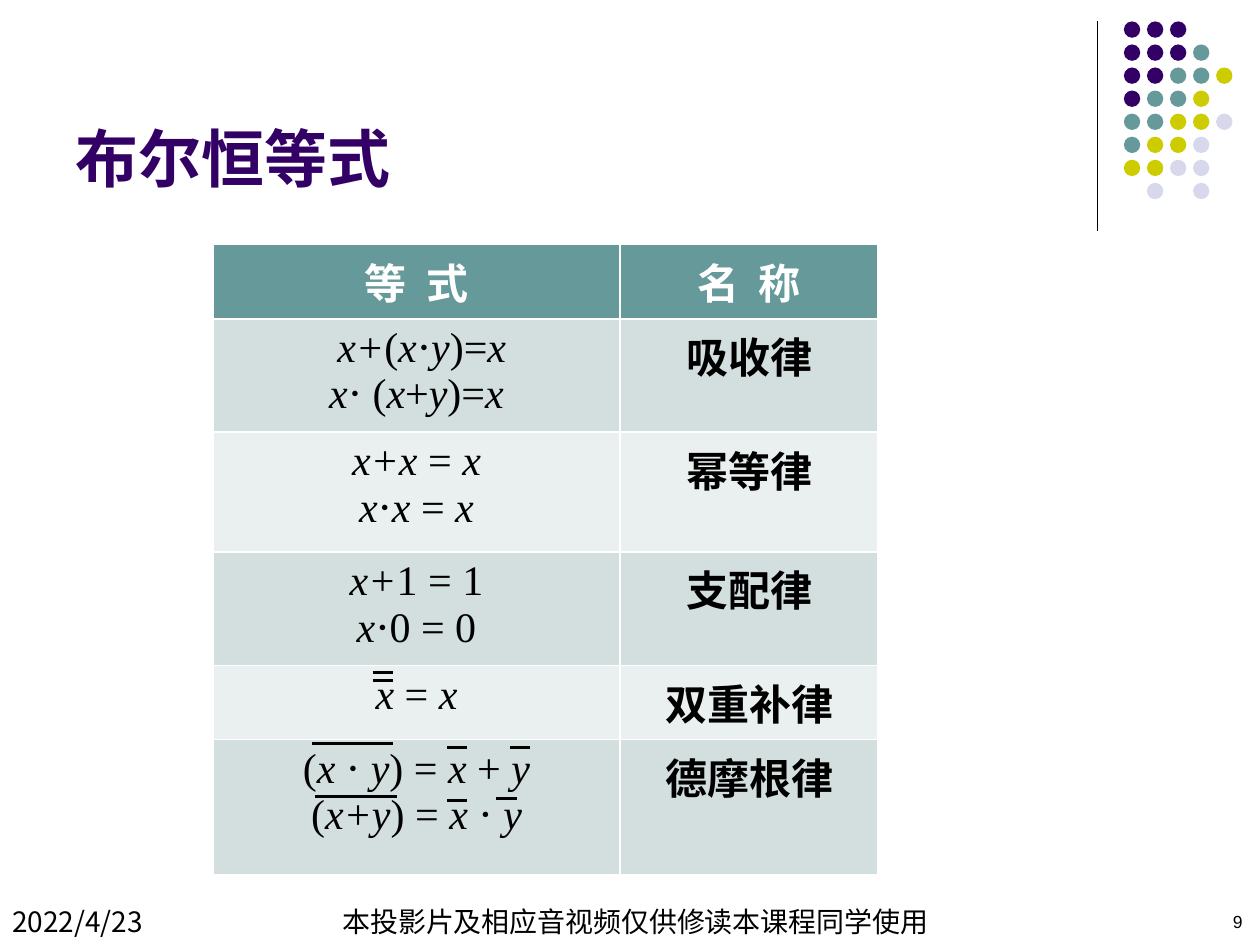
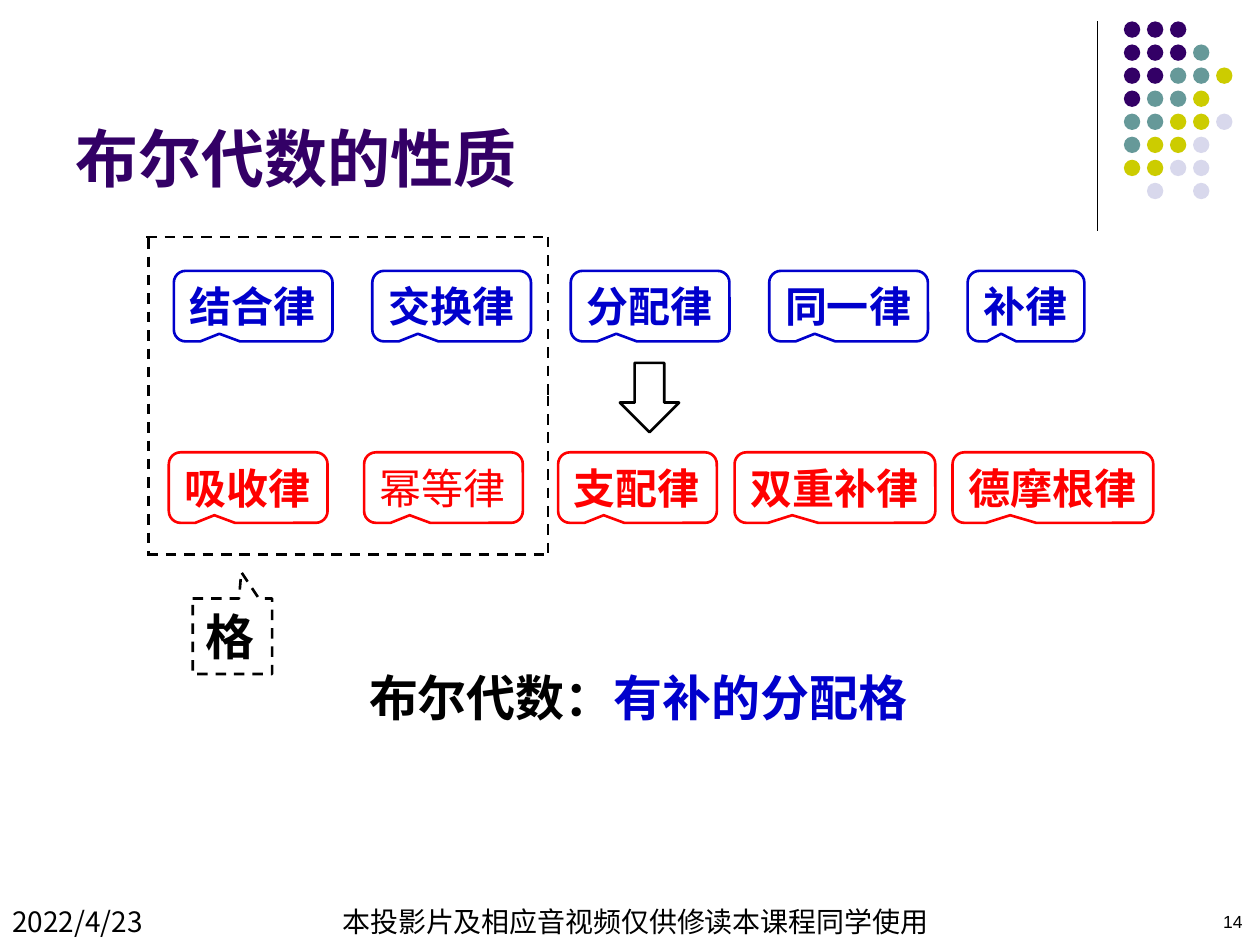
from dataclasses import dataclass
from typing import NamedTuple

import lxml.etree
import pptx
import pptx.dml.color
import pptx.enum.dml
import pptx.enum.shapes
import pptx.enum.text
import pptx.oxml.ns
import pptx.util

Inches = pptx.util.Inches
Pt = pptx.util.Pt
Shapes = pptx.enum.shapes.MSO_SHAPE
Align = pptx.enum.text.PP_ALIGN
Anchor = pptx.enum.text.MSO_ANCHOR
qn = pptx.oxml.ns.qn


@dataclass(frozen=True)
class Theme:
    purple: str = "330066"
    teal: str = "669999"
    yellow: str = "CCCC00"
    lilac: str = "D8D8EC"
    black: str = "000000"
    white: str = "FFFFFF"
    blue: str = "0000CC"
    red: str = "FF0000"
    band_dark: str = "D3DEDE"
    band_light: str = "EAEFEF"
    sans: str = "Arial"
    serif: str = "Times New Roman"
    chinese: str = "Noto Sans CJK SC"
    title_size: int = 36
    statement_size: int = 28
    body_size: int = 24
    footer_size: int = 16
    number_size: int = 10


THEME = Theme()


class TextStyle(NamedTuple):
    size: int
    color: str
    face: str
    bold: bool = False


class Area(NamedTuple):
    left: float
    top: float
    width: float
    height: float


class Stroke(NamedTuple):
    x1: float
    y1: float
    x2: float
    y2: float


class Law(NamedTuple):
    formulas: tuple[str, ...]
    name: str
    height: float


class Label(NamedTuple):
    text: str
    left: float
    bold: bool = True


DOT_COLORS = {"P": THEME.purple, "T": THEME.teal, "Y": THEME.yellow, "L": THEME.lilac}
DOT_ROWS = ("PPP", "PPPT", "PPTTY", "PTTY", "TTYYL", "TYYL", "YYLL", ".L.L")
DOT_PITCH = 0.183

LAWS = (
    Law((" *x+*(*x*⋅*y*)=*x*", "*x*⋅ (*x*+*y*)=*x*"), "吸收律", 0.83),
    Law(("*x+x *=* x*", "*x*⋅*x *=* x*"), "幂等律", 0.95),
    Law(("*x+*1 = 1", "*x*⋅0 = 0"), "支配律", 0.9),
    Law(("*x *=* x*",), "双重补律", 0.59),
    Law(("(*x *⋅ *y*) = *x *+ *y*", "(*x+y*) = *x *⋅ *y*"), "德摩根律", 1.07),
)
HEADER_HEIGHT = 0.59

OVERBARS = (
    Area(2.96, 5.34, 0.16, 0), Area(2.96, 5.4, 0.16, 0),
    Area(3.55, 5.93, 0.16, 0), Area(4.05, 5.93, 0.16, 0),
    Area(3.94, 6.34, 0.16, 0), Area(3.55, 6.35, 0.16, 0),
    Area(2.5, 6.32, 0.65, 0), Area(2.48, 5.9, 0.64, 0),
)

AXIOMS = tuple(
    Label(text, 1.38 + 1.575 * index)
    for index, text in enumerate(("结合律", "交换律", "分配律", "同一律", "补律"))
)
DERIVED_LAWS = (
    Label("吸收律", 1.34),
    Label("幂等律", 2.89, False),
    Label("支配律", 4.43),
    Label("双重补律", 5.83),
    Label("德摩根律", 7.56),
)
LATTICE_FRAME = (
    Stroke(1.18, 1.89, 1.18, 4.41),
    Stroke(1.16, 1.88, 4.35, 1.88),
    Stroke(4.35, 3.14, 4.35, 4.4),
    Stroke(4.35, 1.88, 4.35, 3.14),
    Stroke(1.17, 4.4, 4.36, 4.4),
)


def rgb(color: str) -> pptx.dml.color.RGBColor:
    return pptx.dml.color.RGBColor.from_string(color)


def style_paragraph(para, style: TextStyle, align=Align.LEFT) -> None:
    para.alignment = align
    para.font.size = Pt(style.size)
    para.font.bold = style.bold
    para.font.name = style.face
    para.font.color.rgb = rgb(style.color)
    defaults = para._p.get_or_add_pPr().find(qn("a:defRPr"))
    lxml.etree.SubElement(defaults, qn("a:ea"), typeface=THEME.chinese)


def add_text(page, area: Area, text: str, style: TextStyle, align=Align.LEFT,
             anchor=Anchor.MIDDLE):
    box = page.shapes.add_textbox(*map(Inches, area))
    frame = box.text_frame
    frame.word_wrap = True
    frame.vertical_anchor = anchor
    para = frame.paragraphs[0]
    para.add_run().text = text
    style_paragraph(para, style, align)
    return box


def add_line(page, stroke: Stroke, weight: float, dashed: bool = False) -> None:
    line = page.shapes.add_connector(
        pptx.enum.shapes.MSO_CONNECTOR.STRAIGHT, *map(Inches, stroke))
    line.line.color.rgb = rgb(THEME.black)
    line.line.width = Pt(weight)
    if dashed:
        line.line.dash_style = pptx.enum.dml.MSO_LINE.DASH
    lxml.etree.SubElement(line._element.spPr, qn("a:effectLst"))


def add_outline(page, kind, area: Area, color: str, adjustments: tuple[float, ...]):
    shape = page.shapes.add_shape(kind, *map(Inches, area))
    shape.shadow.inherit = False
    shape.fill.background()
    shape.line.color.rgb = rgb(color)
    shape.line.width = Pt(1.5)
    for index, value in enumerate(adjustments):
        shape.adjustments[index] = value
    return shape


def write_label(shape, text: str, style: TextStyle) -> None:
    frame = shape.text_frame
    frame.word_wrap = False
    frame.vertical_anchor = Anchor.MIDDLE
    para = frame.paragraphs[0]
    para.add_run().text = text
    style_paragraph(para, style)


def add_labels(page, labels: tuple[Label, ...], top: float, color: str) -> None:
    for label in labels:
        area = Area(label.left, top, 0.26 + len(label.text) / 3, 0.56)
        shape = add_outline(page, Shapes.ROUNDED_RECTANGULAR_CALLOUT, area, color,
                            (-0.213, 0.392, 0.167))
        write_label(shape, label.text,
                    TextStyle(THEME.body_size, color, THEME.sans, label.bold))


def add_dots(page) -> None:
    for row, codes in enumerate(DOT_ROWS):
        for column, code in enumerate(codes):
            if code not in DOT_COLORS:
                continue
            area = Area(8.92 + DOT_PITCH * column, 0.17 + DOT_PITCH * row, 0.13, 0.13)
            dot = page.shapes.add_shape(Shapes.OVAL, *map(Inches, area))
            dot.shadow.inherit = False
            dot.fill.solid()
            dot.fill.fore_color.rgb = rgb(DOT_COLORS[code])
            dot.line.fill.background()


def add_page(deck, title: str, title_face: str, number: int):
    page = deck.slides.add_slide(deck.slide_layouts[6])
    add_line(page, Stroke(8.71, 0.17, 8.71, 1.83), 0.75)
    add_dots(page)
    heading = add_text(page, Area(0.5, 0.13, 8.25, 1.42), title,
                       TextStyle(THEME.title_size, THEME.purple, title_face, True),
                       anchor=Anchor.BOTTOM)
    heading.text_frame.margin_bottom = 0
    footer = TextStyle(THEME.footer_size, THEME.black, THEME.chinese)
    add_text(page, Area(0, 7.15, 1.38, 0.33), "2022/4/23", footer)
    add_text(page, Area(1.38, 7.15, 7.33, 0.33),
             "本投影片及相应音视频仅供修读本课程同学使用", footer, Align.CENTER)
    add_text(page, Area(8.92, 7.15, 1.04, 0.33), str(number),
             TextStyle(THEME.number_size, THEME.black, THEME.sans), Align.RIGHT)
    return page


def fill_cell(cell, lines: tuple[str, ...], style: TextStyle, fill: str,
              spacing: int = 0) -> None:
    properties = cell._tc.get_or_add_tcPr()
    for side in ("lnL", "lnR", "lnT", "lnB"):
        border = lxml.etree.SubElement(properties, qn(f"a:{side}"), w=str(Pt(1)))
        paint = lxml.etree.SubElement(border, qn("a:solidFill"))
        lxml.etree.SubElement(paint, qn("a:srgbClr"), val=THEME.white)
    cell.fill.solid()
    cell.fill.fore_color.rgb = rgb(fill)
    for index, line in enumerate(lines):
        frame = cell.text_frame
        para = frame.add_paragraph() if index else frame.paragraphs[0]
        style_paragraph(para, style, Align.CENTER)
        for position, piece in enumerate(line.split("*")):
            if piece:
                span = para.add_run()
                span.text = piece
                if position % 2:
                    span.font.italic = True
                if spacing:
                    span._r.get_or_add_rPr().set("spc", str(spacing))


def add_law_table(page) -> None:
    heights = [HEADER_HEIGHT] + [law.height for law in LAWS]
    area = Area(1.69, 1.94, 5.28, sum(heights))
    table = page.shapes.add_table(len(heights), 2, *map(Inches, area)).table
    for column, width in zip(table.columns, (3.23, 2.05)):
        column.width = Inches(width)
    for row, height in zip(table.rows, heights):
        row.height = Inches(height)
    header = TextStyle(THEME.body_size, THEME.white, THEME.serif, True)
    formula = TextStyle(THEME.body_size, THEME.black, THEME.serif)
    for column, text in enumerate(("等 式", "名 称")):
        fill_cell(table.cell(0, column), (text,), header, THEME.teal, spacing=300)
    for row, law in enumerate(LAWS, start=1):
        fill = THEME.band_dark if row % 2 else THEME.band_light
        fill_cell(table.cell(row, 0), law.formulas, formula, fill)
        fill_cell(table.cell(row, 1), (law.name,), formula._replace(bold=True), fill)


def build_identities(deck) -> None:
    page = add_page(deck, "布尔恒等式", THEME.serif, 9)
    add_law_table(page)
    for bar in OVERBARS:
        add_line(page, Stroke(bar.left, bar.top, bar.left + bar.width, bar.top), 1.75)


def build_properties(deck) -> None:
    page = add_page(deck, "布尔代数的性质", THEME.sans, 14)
    add_labels(page, AXIOMS, 2.15, THEME.blue)
    add_labels(page, DERIVED_LAWS, 3.59, THEME.red)
    add_outline(page, Shapes.DOWN_ARROW, Area(4.92, 2.88, 0.47, 0.55), THEME.black,
                (0.5, 0.5))
    statement_style = TextStyle(THEME.statement_size, THEME.black, THEME.serif, True)
    statement = add_text(page, Area(0.85, 5.14, 8.43, 0.78), "布尔代数：",
                         statement_style, Align.CENTER)
    span = statement.text_frame.paragraphs[0].add_run()
    span.text = "有补的分配格"
    span.font.color.rgb = rgb(THEME.blue)
    for stroke in LATTICE_FRAME:
        add_line(page, stroke, 1.5, dashed=True)
    lattice = add_outline(page, Shapes.RECTANGULAR_CALLOUT, Area(1.53, 4.75, 0.63, 0.6),
                          THEME.black, (0.112, -0.849))
    lattice.line.dash_style = pptx.enum.dml.MSO_LINE.DASH
    write_label(lattice, "格", statement_style._replace(face=THEME.sans))


def main() -> None:
    deck = pptx.Presentation()
    deck.slide_width = Inches(10)
    deck.slide_height = Inches(7.5)
    build_identities(deck)
    build_properties(deck)
    deck.save("out.pptx")


if __name__ == "__main__":
    main()
